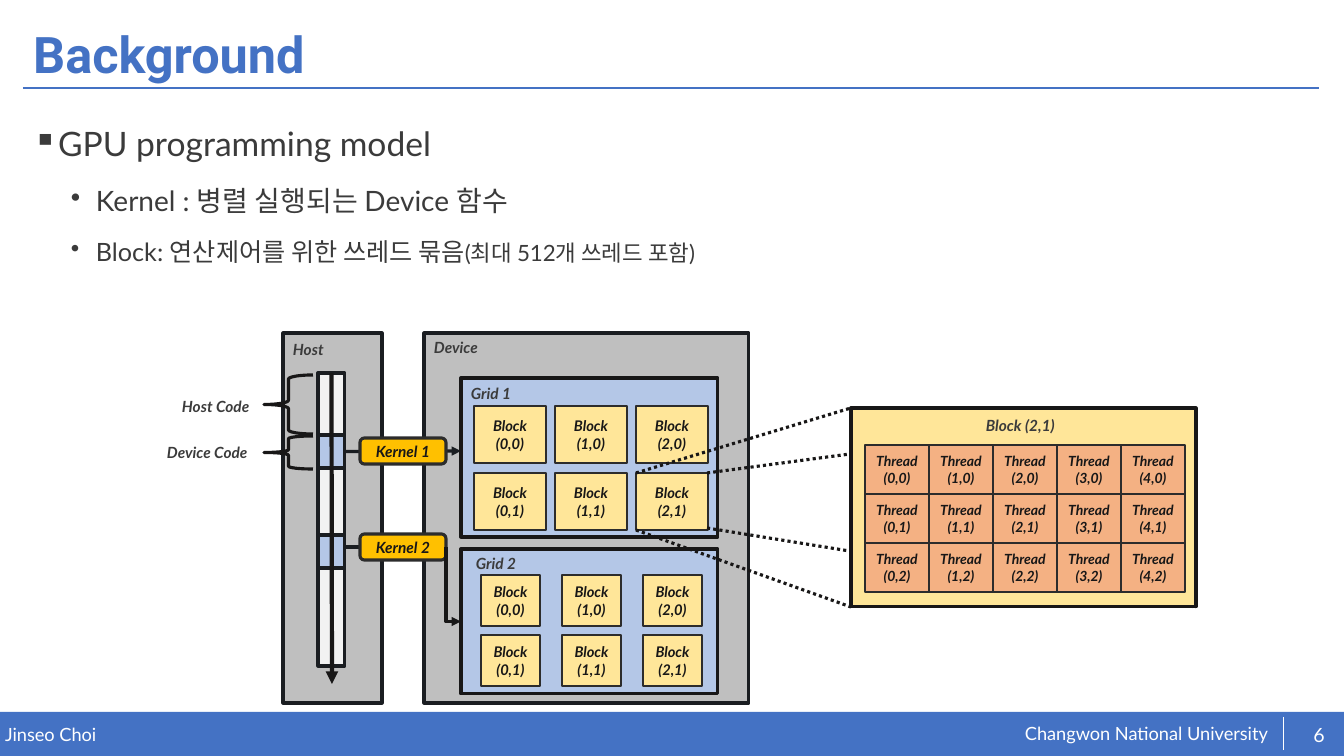
from lxml import etree
from pptx import Presentation
from pptx.dml.color import RGBColor
from pptx.enum.dml import MSO_LINE_DASH_STYLE as DASH
from pptx.enum.shapes import MSO_CONNECTOR as CONN, MSO_SHAPE as SHAPE
from pptx.enum.text import MSO_ANCHOR as ANCHOR, PP_ALIGN as ALIGN
from pptx.oxml.ns import qn
from pptx.util import Pt

PX = 914400 / 100.8
BLUE, WHITE, GRAY, TEXT = "4472C4", "FFFFFF", "BFBFBF", "3B3B3B"
INK, DARK, EDGE = "181717", "1A1D21", "2C2C2C"
PALE, SKY, CREAM, AMBER, ORANGE = "F2F2F2", "B4C7E7", "FFE699", "FFC000", "F4B183"


def emu(*lengths):
    """Turn px lengths into EMU."""
    return [round(n * PX) for n in lengths]


def rgb(color):
    """Turn a hex string into a colour."""
    return RGBColor.from_string(color)


def style(font, size, color, name="Lato", bold=False, italic=False):
    """Format one font."""
    font.name, font.size, font.bold, font.italic = name, Pt(size), bold, italic
    font.color.rgb = rgb(color)


def add_box(s, at, fill=None, line=None, width=2.25, kind=SHAPE.RECTANGLE, lines=(), size=11):
    """Add a preset shape with optional centred lines of text."""
    sp = s.shapes.add_shape(kind, *emu(*at))
    sp.shadow.inherit = False
    if fill:
        sp.fill.solid()
        sp.fill.fore_color.rgb = rgb(fill)
    else:
        sp.fill.background()
    if line:
        sp.line.color.rgb = rgb(line)
        sp.line.width = Pt(width)
    else:
        sp.line.fill.background()
    if lines:
        tf = sp.text_frame
        tf.text = "\n".join(lines)
        tf.vertical_anchor = ANCHOR.MIDDLE
        tf.margin_left = tf.margin_right = 0
        for p in tf.paragraphs:
            p.alignment = ALIGN.CENTER
            style(p.runs[0].font, size, INK, bold=True, italic=True)
    return sp


def add_cells(s, word, origin, step, cell, cols, rows, fill, size):
    """Add a grid of boxes labelled with their column and row."""
    for row in range(rows):
        for col in range(cols):
            x, y = origin[0] + col * step[0], origin[1] + row * step[1]
            add_box(s, (x, y, *cell), fill, EDGE, 1.5, lines=(word, f"({col},{row})"), size=size)


def add_label(s, x, y, text, w=102):
    """Add a bold italic diagram label."""
    tf = s.shapes.add_textbox(*emu(x, y, w, 29)).text_frame
    tf.word_wrap = True
    tf.text = text
    style(tf.paragraphs[0].runs[0].font, 11, TEXT, bold=True, italic=True)


def add_footer(s, at, text, size=13, align=ALIGN.LEFT, anchor=ANCHOR.TOP):
    """Add white footer text without margins."""
    tf = s.shapes.add_textbox(*emu(*at)).text_frame
    tf.word_wrap = True
    tf.margin_left = tf.margin_right = tf.margin_top = tf.margin_bottom = 0
    tf.vertical_anchor = anchor
    tf.text = text
    tf.paragraphs[0].alignment = align
    style(tf.paragraphs[0].runs[0].font, size, WHITE)


def add_line(s, ends, color=INK, width=2.25, arrow=False, dash=None, kind=CONN.STRAIGHT):
    """Add a connector, with an arrowhead or dashes on request."""
    c = s.shapes.add_connector(kind, *emu(*ends))
    c.line.color.rgb = rgb(color)
    c.line.width = Pt(width)
    if dash:
        c.line.dash_style = dash
    if arrow:
        etree.SubElement(c.line._get_or_add_ln(), qn("a:tailEnd"), type="triangle")
    etree.SubElement(c._element.spPr, qn("a:effectLst"))
    return c


def add_title(s, text):
    """Place and format the title."""
    sp = s.shapes.title
    sp.left, sp.top, sp.width, sp.height = emu(23, 18, 1296, 78)
    tf = sp.text_frame
    tf.text = text
    tf.vertical_anchor = ANCHOR.MIDDLE
    p = tf.paragraphs[0]
    p.alignment = ALIGN.LEFT
    p.line_spacing = 0.9
    style(p.runs[0].font, 36, BLUE, "Roboto", bold=True)


def add_bullets(s, at, items):
    """Add bulleted paragraphs made of (text, size) runs."""
    tf = s.shapes.add_textbox(*emu(*at)).text_frame
    tf.word_wrap = True
    for i, (level, runs) in enumerate(items):
        p = tf.add_paragraph() if i else tf.paragraphs[0]
        p.level = level
        pPr = p._p.get_or_add_pPr()
        pPr.set("marL", str(571500 if level else 228600))
        pPr.set("indent", "-228600")
        etree.SubElement(pPr, qn("a:buChar"), char="•" if level else "▪")
        p.line_spacing = 1.4
        if i:
            p.space_before = Pt(5)
        for text, size in runs:
            r = p.add_run()
            r.text = text
            style(r.font, size, TEXT)


def add_frame(s):
    """Add the title rule and the footer band."""
    add_box(s, (0, 712, 1344, 44), BLUE)
    add_footer(s, (1025, 722, 250, 23), "Changwon National University")
    add_footer(s, (5, 723, 660, 22), "Jinseo Choi")
    add_footer(s, (1295, 715, 48, 40), "6", 14, ALIGN.CENTER, ANCHOR.MIDDLE)
    add_line(s, (23, 88, 1319, 88), BLUE, 2)
    add_line(s, (1283, 717, 1283, 750), WHITE, 0.5)


def add_host(s):
    """Add the host column with its code braces, and return the second kernel."""
    add_box(s, (283, 333, 99, 370), GRAY, DARK)
    add_label(s, 283, 335, "Host")
    spans = [(373, 62, PALE), (435, 33, SKY), (468, 67, PALE), (535, 33, SKY), (568, 98, PALE)]
    code = [add_box(s, (318, y, 27, h), fill, DARK) for y, h, fill in spans]
    flow = add_line(s, (332, 373, 332, 684), width=3, arrow=True)
    flow.begin_connect(code[0], 0)
    launch = add_line(s, (345, 451, 461, 451), DARK, arrow=True)
    launch.begin_connect(code[1], 3)
    second = add_line(s, (345, 547, 446, 547), DARK, arrow=True)
    kernels = [add_box(s, (360, y, 86, 26), AMBER, EDGE, kind=SHAPE.ROUNDED_RECTANGLE,
                       lines=(f"Kernel {n}",)) for n, y in ((1, 438), (2, 534))]
    second.end_connect(kernels[1], 3)
    for y, h in ((375, 59), (436, 33)):
        add_box(s, (264, y, 49, h), line=INK, kind=SHAPE.LEFT_BRACE)
    add_label(s, 172, 392, "Host Code")
    add_label(s, 157, 438, "Device Code", 115)
    return kernels[1]


def add_grids(s, kernel):
    """Add both grids of blocks and the bent arrow from the second kernel."""
    add_box(s, (461, 378, 257, 159), SKY, INK)
    grid = add_box(s, (461, 549, 257, 145), SKY, INK)
    add_label(s, 461, 379, "Grid 1")
    add_label(s, 466, 549, "Grid 2")
    bent = add_line(s, (446, 547, 461, 622), arrow=True, kind=CONN.ELBOW)
    bent.begin_connect(kernel, 3)
    bent.end_connect(grid, 1)
    guides = bent._element.spPr.find(qn("a:prstGeom")).get_or_add_avLst()
    etree.SubElement(guides, qn("a:gd"), name="adj1", fmla="val 0")
    add_cells(s, "Block", (474, 406), (81, 67), (72, 57), 3, 2, CREAM, 10.5)
    add_cells(s, "Block", (481, 575), (81, 60), (59, 51), 3, 2, CREAM, 10.5)


def add_block_detail(s):
    """Add the enlarged block with its threads and dotted guides."""
    for ends in ((707, 528, 1196, 607), (707, 473, 1196, 408),
                 (636, 473, 851, 408), (636, 530, 851, 607)):
        add_line(s, ends, dash=DASH.ROUND_DOT)
    add_box(s, (851, 408, 345, 199), CREAM, INK)
    add_label(s, 976, 411, "Block (2,1)")
    add_cells(s, "Thread", (865, 445), (64, 49), (64, 49), 5, 3, ORANGE, 10)


def main():
    """Build and save the slide."""
    prs = Presentation()
    prs.slide_width, prs.slide_height = emu(1344, 756)
    s = prs.slides.add_slide(prs.slide_layouts[5])
    add_frame(s)
    add_title(s, "Background")
    add_bullets(s, (23, 102, 1296, 180), [
        (0, [("GPU programming model", 24)]),
        (1, [("Kernel : 병렬 실행되는 Device 함수", 20)]),
        (1, [("Block: 연산제어를 위한 쓰레드 묶음", 18), ("(최대 512개 쓰레드 포함)", 16)]),
    ])
    add_box(s, (424, 333, 325, 370), GRAY, DARK)
    add_label(s, 424, 333, "Device")
    kernel = add_host(s)
    add_grids(s, kernel)
    add_block_detail(s)
    prs.save("out.pptx")


if __name__ == "__main__":
    main()
